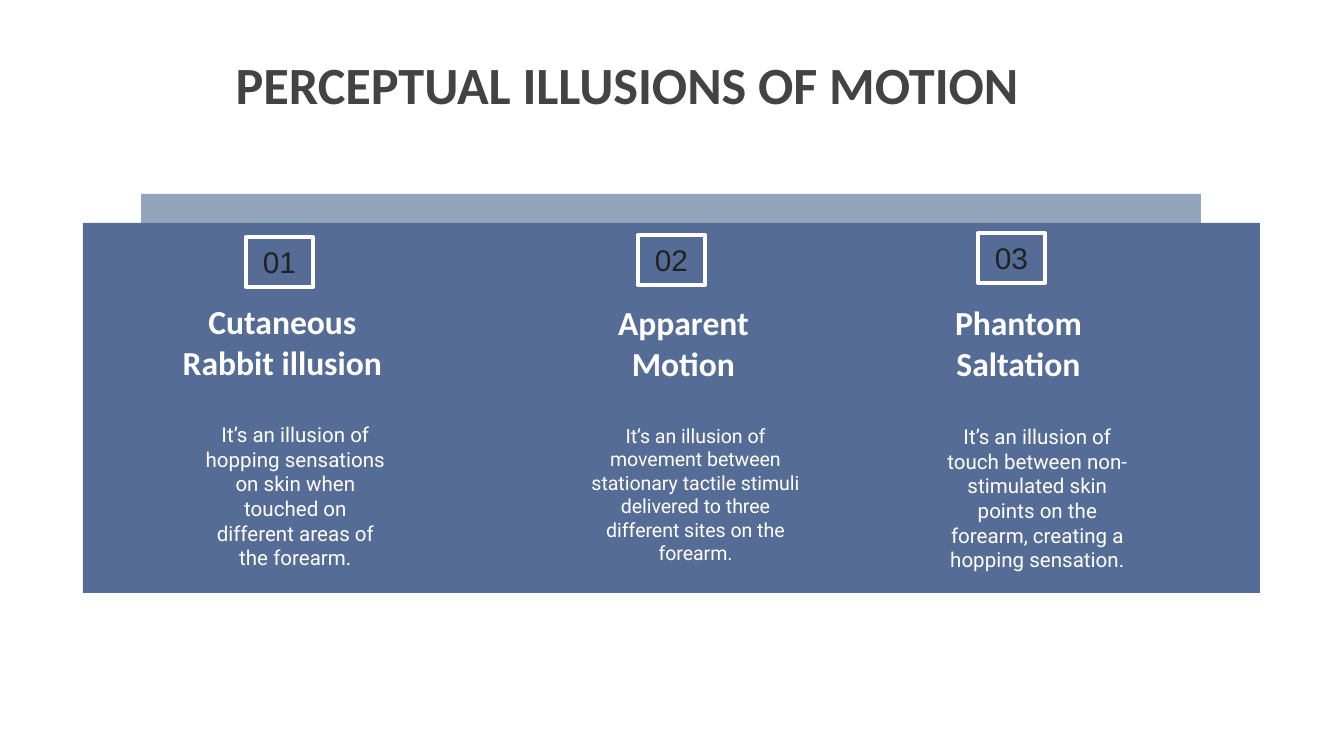
import pptx
import pptx.util
import pptx.dml.color
import pptx.enum.shapes
import pptx.enum.text
import pptx.oxml
import pptx.oxml.ns

COLORS = {"panel": "556D96", "white": "FFFFFF", "title": "434343", "number": "212121"}
ANCHOR = pptx.enum.text.MSO_ANCHOR
FORMATS = {
    "title": {"name": "Calibri", "size": 28, "bold": True, "color": "title"},
    "heading": {"name": "Calibri", "size": 18, "bold": True, "color": "white"},
    "body": {"name": "Roboto", "size": 11, "bold": False, "color": "white"},
    "small": {"name": "Roboto", "size": 10.5, "bold": False, "color": "white"},
    "number": {"name": "Arial", "size": 16, "bold": False, "color": "number"},
}
COLUMNS = [
    ("01", (246, 237), "Cutaneous Rabbit illusion", (148, 300, 269, 95),
     "It’s an illusion of hopping sensations on skin when touched on "
     "different areas of the forearm.", (192, 409, 207, 138), "body"),
    ("02", (638, 235), "Apparent Motion", (551, 301, 265, 95),
     "It’s an illusion of movement between stationary tactile stimuli "
     "delivered to three different sites on the forearm.", (575, 411, 241, 138), "small"),
    ("03", (978, 233), "Phantom Saltation", (884, 301, 269, 95),
     "It’s an illusion of touch between non-stimulated skin points on the "
     "forearm, creating a hopping sensation.", (926, 411, 223, 138), "body"),
]


def px(n):
    return pptx.util.Emu(round(n * 914400 / 134.4))


def rgb(key):
    return pptx.dml.color.RGBColor.from_string(COLORS[key])


class Deck:
    inset = 13

    def __init__(self, width, height):
        self.prs = pptx.Presentation()
        self.prs.slide_width, self.prs.slide_height = px(width), px(height)
        self.s = self.prs.slides.add_slide(self.prs.slide_layouts[6])

    def fill_text(self, sp, text, style, anchor):
        tf = sp.text_frame
        frame = {"word_wrap": True, "vertical_anchor": anchor}
        for side in ("left", "right", "top", "bottom"):
            frame["margin_" + side] = px(self.inset)
        for key, value in frame.items():
            setattr(tf, key, value)
        p = tf.paragraphs[0]
        p.alignment = pptx.enum.text.PP_ALIGN.CENTER
        r = p.add_run()
        r.text = text
        for key, value in FORMATS[style].items():
            if key == "color":
                r.font.color.rgb = rgb(value)
            else:
                setattr(r.font, key, pptx.util.Pt(value) if key == "size" else value)

    def text(self, box, text, style, anchor=ANCHOR.TOP):
        sp = self.s.shapes.add_textbox(*map(px, box))
        self.fill_text(sp, text, style, anchor)

    def rect(self, box, fill, opacity=100):
        sp = self.s.shapes.add_shape(pptx.enum.shapes.MSO_SHAPE.RECTANGLE, *map(px, box))
        sp.shadow.inherit = False
        sp.fill.solid()
        sp.fill.fore_color.rgb = rgb(fill)
        sp.line.fill.background()
        if opacity < 100:
            clr = sp._element.spPr.find(".//" + pptx.oxml.ns.qn("a:srgbClr"))
            alpha = pptx.oxml.parse_xml(
                f'<a:alpha {pptx.oxml.ns.nsdecls("a")} val="{opacity * 1000}"/>')
            clr.append(alpha)
        return sp

    def badge(self, at, number):
        sp = self.rect((*at, 67, 50), "panel")
        sp.line.color.rgb = rgb("white")
        sp.line.width = pptx.util.Pt(2)
        self.fill_text(sp, number, "number", ANCHOR.MIDDLE)


def main():
    deck = Deck(1344, 756)
    deck.text((148, 11, 958, 145), "PERCEPTUAL ILLUSIONS OF MOTION", "title", ANCHOR.MIDDLE)
    deck.rect((83, 223, 1177, 370), "panel")
    deck.rect((141, 194, 1060, 30), "panel", opacity=62)
    for number, at, heading, heading_box, body, body_box, style in COLUMNS:
        deck.badge(at, number)
        deck.text(heading_box, heading, "heading", ANCHOR.BOTTOM)
        deck.text(body_box, body, style)
    deck.prs.save("out.pptx")


if __name__ == "__main__":
    main()
